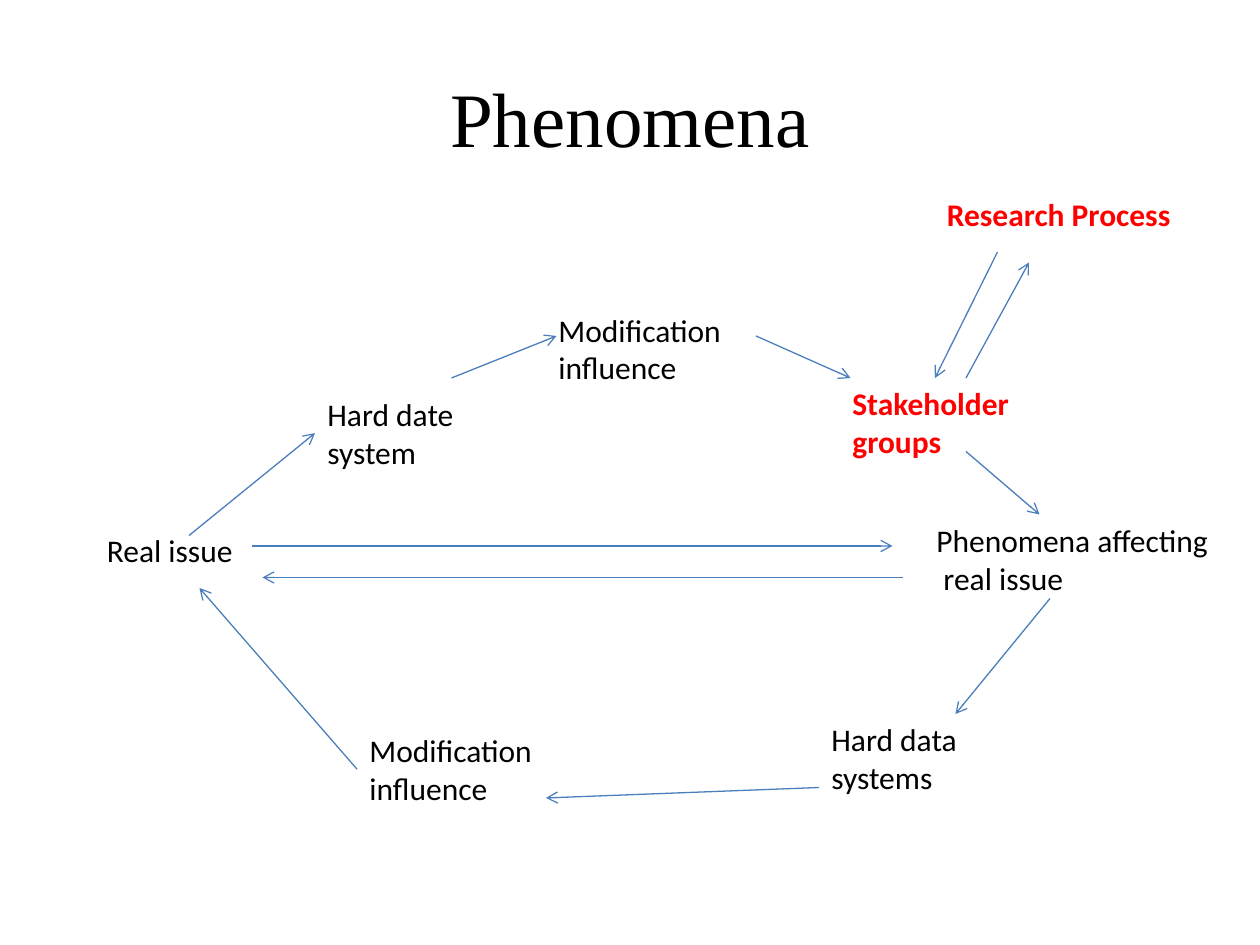
from dataclasses import dataclass

from lxml import etree
from pptx import Presentation
from pptx.dml.color import RGBColor
from pptx.enum import shapes, text
from pptx.oxml import ns
from pptx.util import Pt

BLACK, RED, BLUE = "000000", "FF0000", "4B7EBC"
ONE, TWO = 29, 51  # heights of one-line and two-line labels
TOP, LEFT = 0, 1   # connection sites


@dataclass
class Label:
    lines: tuple[str, ...]
    x: float
    y: float
    w: float
    h: float = TWO
    key: bool = False


@dataclass
class Arrow:
    x1: float
    y1: float
    x2: float
    y2: float
    start: tuple[str, int] | None = None
    end: tuple[str, int] | None = None


LABELS = {
    "issue": Label(("Real issue",), 54, 300, 87, ONE),
    "effect": Label(("Phenomena affecting", " real issue"), 528, 294, 172, 73),
    "date": Label(("Hard date", "system"), 180, 222, 91.5),
    "upper": Label(("Modification", "influence"), 312, 174, 113),
    "groups": Label(("Stakeholder", "groups"), 480, 216, 108.5, key=True),
    "lower": Label(("Modification", "influence"), 204, 414, 113),
    "data": Label(("Hard data", "systems"), 468, 408, 91.5),
    "process": Label(("Research Process",), 534, 108, 143.5, ONE, key=True),
}

ARROWS = [
    Arrow(144, 312, 510, 312),
    Arrow(516, 330, 150, 330),
    Arrow(108, 306, 180, 247.5, end=("date", LEFT)),
    Arrow(258, 216, 318, 192),
    Arrow(432, 192, 486, 216),
    Arrow(552, 258, 594, 294),
    Arrow(600, 342, 546, 408),
    Arrow(468, 450, 312, 456),
    Arrow(204, 439.5, 114, 336, start=("lower", LEFT)),
    Arrow(552, 216, 588, 150),
    Arrow(570, 144, 534, 216, end=("groups", TOP)),
]


def color(code: str) -> RGBColor:
    return RGBColor.from_string(code)


def style(par, face: str, size: float, code: str, bold: bool = False) -> None:
    font = par.font
    font.name, font.size, font.bold = face, Pt(size), bold
    font.color.rgb = color(code)


def add_title(slide, words: str) -> None:
    title = slide.shapes.title
    title.left, title.top = Pt(36), Pt(21.6)
    title.width, title.height = Pt(648), Pt(90)
    frame = title.text_frame
    frame.text = words
    frame.vertical_anchor = text.MSO_ANCHOR.MIDDLE
    par = frame.paragraphs[0]
    par.alignment = text.PP_ALIGN.CENTER
    style(par, "Times New Roman", 44, BLACK)


def add_label(slide, label: Label):
    box = slide.shapes.add_textbox(
        Pt(label.x), Pt(label.y), Pt(label.w), Pt(label.h))
    frame = box.text_frame
    frame.word_wrap = False
    frame.text = "\n".join(label.lines)
    for par in frame.paragraphs:
        style(par, "Calibri", 18, RED if label.key else BLACK, label.key)
    return box


def add_arrow(slide, arrow: Arrow, boxes: dict) -> None:
    link = slide.shapes.add_connector(
        shapes.MSO_CONNECTOR.STRAIGHT,
        Pt(arrow.x1), Pt(arrow.y1), Pt(arrow.x2), Pt(arrow.y2))
    if arrow.start:
        name, site = arrow.start
        link.begin_connect(boxes[name], site)
    if arrow.end:
        name, site = arrow.end
        link.end_connect(boxes[name], site)
    link.line.color.rgb = color(BLUE)
    link.line.width = Pt(0.75)
    props = link.line._get_or_add_ln()
    etree.SubElement(props, ns.qn("a:tailEnd"), type="arrow")
    etree.SubElement(link._element.spPr, ns.qn("a:effectLst"))


def main() -> None:
    deck = Presentation()
    deck.slide_width, deck.slide_height = Pt(720), Pt(540)
    slide = deck.slides.add_slide(deck.slide_layouts[5])
    add_title(slide, "Phenomena")
    boxes = {name: add_label(slide, label) for name, label in LABELS.items()}
    for arrow in ARROWS:
        add_arrow(slide, arrow, boxes)
    deck.save("out.pptx")


if __name__ == "__main__":
    main()
